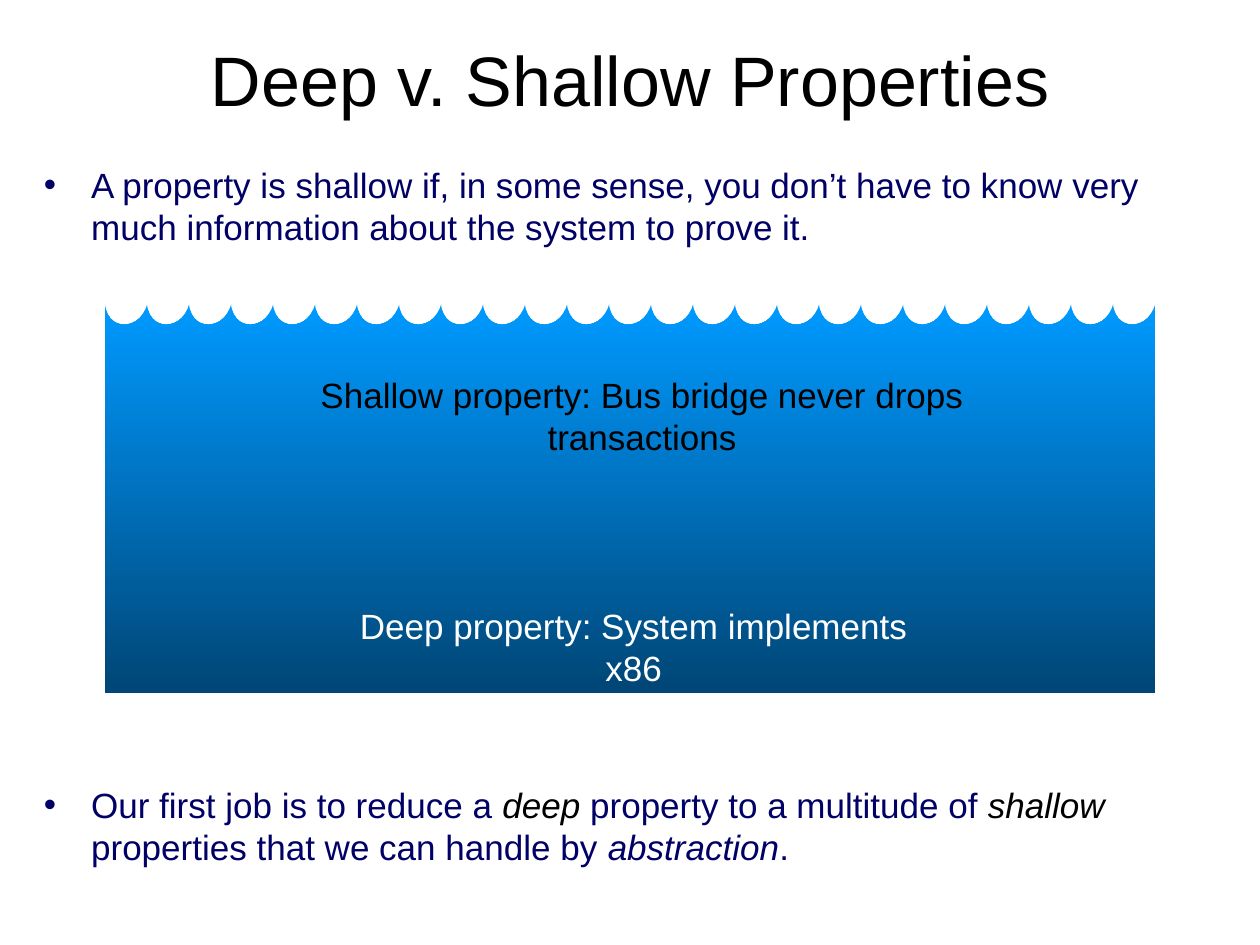
from dataclasses import dataclass

from pptx import Presentation
from pptx.dml.color import RGBColor
from pptx.enum.text import MSO_ANCHOR, MSO_AUTO_SIZE, PP_ALIGN
from pptx.oxml.ns import qn
from pptx.oxml.xmlchemy import OxmlElement
from pptx.slide import Slide
from pptx.util import Inches, Pt

CENTER, LEFT = PP_ALIGN.CENTER, PP_ALIGN.LEFT
TOP, MIDDLE = MSO_ANCHOR.TOP, MSO_ANCHOR.MIDDLE
FIT_SHAPE, NO_FIT = MSO_AUTO_SIZE.SHAPE_TO_FIT_TEXT, MSO_AUTO_SIZE.NONE


@dataclass(frozen=True)
class Theme:
    font: str = "Arial"
    title_size: int = 40
    body_size: int = 20
    black: RGBColor = RGBColor(0x00, 0x00, 0x00)
    white: RGBColor = RGBColor(0xFF, 0xFF, 0xFF)
    navy: RGBColor = RGBColor(0x00, 0x00, 0x66)
    water: RGBColor = RGBColor(0x00, 0x99, 0xFF)
    depth_shade: int = 46275  # darkening at the bottom, in 1/1000 percent


THEME = Theme()


@dataclass(frozen=True)
class Span:
    text: str
    color: RGBColor
    italic: bool = False


@dataclass(frozen=True)
class TextBlock:
    left: float
    top: float
    width: float
    height: float
    spans: tuple[Span, ...]
    size: int = THEME.body_size
    align: PP_ALIGN = CENTER
    anchor: MSO_ANCHOR = TOP
    side_inset: float = 0.1
    bullet: bool = False
    grows: bool = False


@dataclass(frozen=True)
class Sea:
    left: float = 2.5 / 3
    surface: float = 29 / 12
    floor: float = 5.5
    wave_width: float = 1 / 3
    wave_depth: float = 0.16
    waves: int = 25


# Text content
TITLE = TextBlock(0.25, 1 / 6, 9.5, 11 / 12,
                  (Span("Deep v. Shallow Properties", THEME.black),),
                  size=THEME.title_size, anchor=MIDDLE)
DEFINITION = TextBlock(
    0.25, 1.25, 9.5, 0.83,
    (Span("A property is shallow if, in some sense, you don’t have to know "
          "very much information about the system to prove it.", THEME.navy),),
    align=LEFT, bullet=True)
DEEP = TextBlock(2.5, 4.75, 5.06, 0.43,
                 (Span("Deep property: System implements x86", THEME.white),),
                 side_inset=0.2, grows=True)
SHALLOW = TextBlock(
    5 / 3, 35 / 12, 6.86, 0.43,
    (Span("Shallow property: Bus bridge never drops transactions", THEME.black),),
    side_inset=0.2, grows=True)
FIRST_JOB = TextBlock(
    0.25, 37 / 6, 9.5, 0.83,
    (Span("Our first job is to reduce a ", THEME.navy),
     Span("deep", THEME.black, italic=True),
     Span(" property to a multitude of ", THEME.navy),
     Span("shallow", THEME.black, italic=True),
     Span(" properties that we can handle by ", THEME.navy),
     Span("abstraction", THEME.navy, italic=True),
     Span(".", THEME.navy)),
    align=LEFT, bullet=True)


def add_text(slide: Slide, block: TextBlock) -> None:
    box = slide.shapes.add_textbox(Inches(block.left), Inches(block.top),
                                   Inches(block.width), Inches(block.height))
    frame = box.text_frame
    frame.word_wrap = True
    frame.auto_size = FIT_SHAPE if block.grows else NO_FIT
    frame.vertical_anchor = block.anchor
    frame.margin_left = frame.margin_right = Inches(block.side_inset)
    paragraph = frame.paragraphs[0]
    paragraph.alignment = block.align
    if block.bullet:
        properties = paragraph._p.get_or_add_pPr()
        properties.set("marL", str(Inches(3 / 8)))
        properties.set("indent", str(Inches(-3 / 8)))
        for tag, key, value in (("a:buFont", "typeface", THEME.font),
                                ("a:buChar", "char", "•")):
            bullet_part = OxmlElement(tag)
            bullet_part.set(key, value)
            properties.append(bullet_part)
    for span in block.spans:
        run = paragraph.add_run()
        run.text = span.text
        run.font.name = THEME.font
        run.font.size = Pt(block.size)
        run.font.color.rgb = span.color
        run.font.italic = span.italic


def add_wave(slide: Slide, sea: Sea, index: int) -> None:
    left = sea.left + index * sea.wave_width
    right = left + sea.wave_width
    trough = (left + 0.47 * sea.wave_width, sea.surface + sea.wave_depth)
    start, end = (left, sea.surface), (right, sea.surface)
    # Two cubic curves of three points each, then the straight sides
    outline = [start, (left + 0.01, trough[1]), trough,
               (right - 0.03, trough[1] - 0.01), end, end,
               (right, sea.floor), (left, sea.floor)]
    builder = slide.shapes.build_freeform(Inches(left), Inches(sea.surface))
    builder.add_line_segments([(Inches(x), Inches(y)) for x, y in outline])
    wave = builder.convert_to_shape()
    segments = list(wave._element.spPr.iter(qn("a:lnTo")))
    for first in (0, 3):
        curve = OxmlElement("a:cubicBezTo")
        segments[first].addprevious(curve)
        for segment in segments[first:first + 3]:
            curve.append(segment[0])
            segment.getparent().remove(segment)

    wave.shadow.inherit = False
    wave.line.fill.background()
    wave.fill.gradient()
    wave.fill.gradient_angle = 270
    for stop in wave.fill.gradient_stops:
        stop.color.rgb = THEME.water
    # Darken the bottom colour
    bottom_color = list(wave._element.spPr.iter(qn("a:srgbClr")))[-1]
    shade = OxmlElement("a:shade")
    shade.set("val", str(THEME.depth_shade))
    bottom_color.extend([OxmlElement("a:gamma"), shade, OxmlElement("a:invGamma")])


def main() -> None:
    deck = Presentation()
    deck.slide_width, deck.slide_height = Inches(10), Inches(7.5)
    slide = deck.slides.add_slide(deck.slide_layouts[6])

    # Heading and definition
    add_text(slide, TITLE)
    add_text(slide, DEFINITION)

    # Sea, darker with depth
    sea = Sea()
    for index in range(sea.waves):
        add_wave(slide, sea, index)

    # Properties at their depths, then the conclusion
    for block in (DEEP, SHALLOW, FIRST_JOB):
        add_text(slide, block)

    deck.save("out.pptx")


if __name__ == "__main__":
    main()
